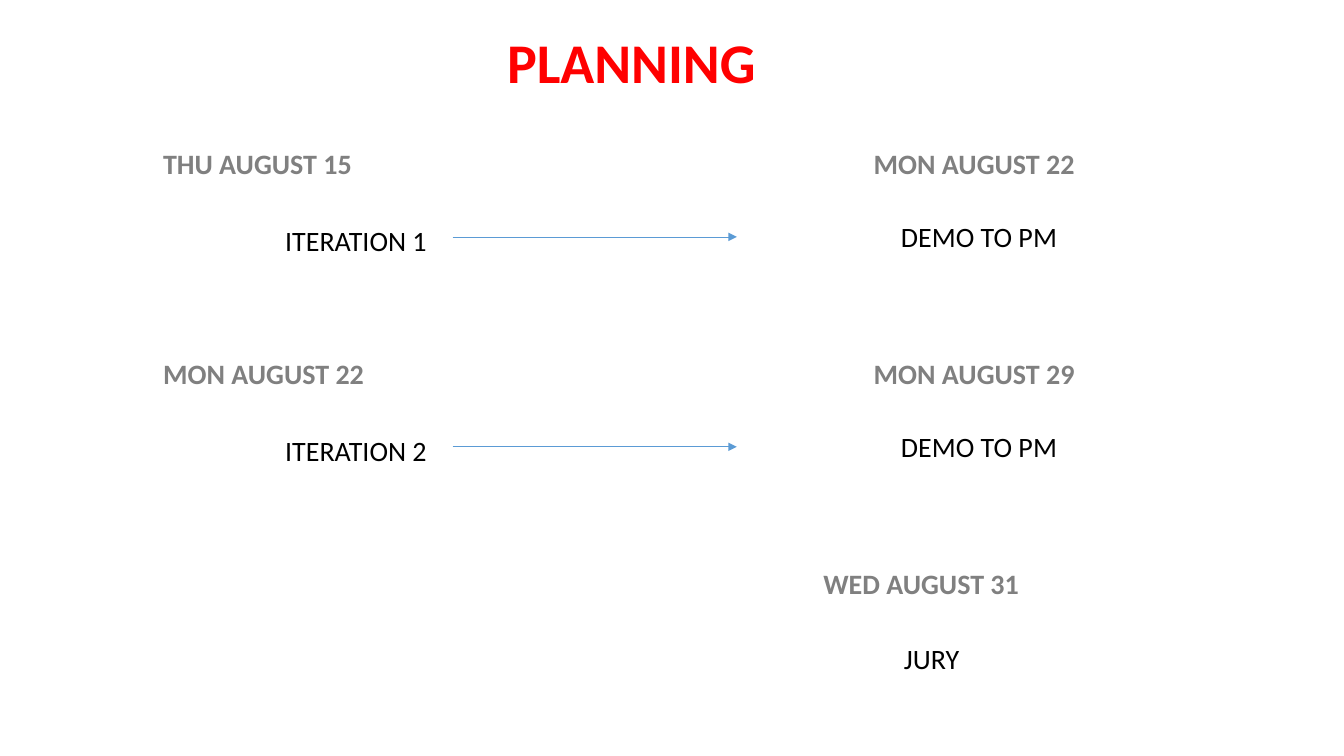
from dataclasses import dataclass

from lxml import etree
from pptx import Presentation
from pptx.dml.color import RGBColor
from pptx.enum import shapes, text
from pptx.oxml import ns
from pptx.shapes.autoshape import Shape
from pptx.slide import Slide
from pptx.util import Pt

FONT = "Calibri"
RED, GREY, BLACK, BLUE = "FF0000", "808080", "000000", "5B9BD5"
LABEL_HEIGHT = 31.5
FIRST_ROW, ROW_STEP = 100.8, 150


@dataclass
class Label:
    words: str
    left: float
    top: float
    width: float
    color: str = BLACK
    bold: bool = False
    size: float = 20


@dataclass
class Iteration:
    name: str
    start: str
    start_width: float
    end: str


ITERATIONS = [
    Iteration("ITERATION 1", "THU AUGUST 15", 150.5, "MON AUGUST 22"),
    Iteration("ITERATION 2", "MON AUGUST 22", 159, "MON AUGUST 29"),
]


def rgb(color: str) -> RGBColor:
    return RGBColor.from_string(color)


def fill_text(box: Shape, label: Label) -> None:
    frame = box.text_frame
    frame.word_wrap = False
    frame.auto_size = text.MSO_AUTO_SIZE.SHAPE_TO_FIT_TEXT
    frame.vertical_anchor = text.MSO_ANCHOR.TOP
    para = frame.paragraphs[0]
    para.alignment = text.PP_ALIGN.LEFT
    span = para.add_run()
    span.text = label.words
    span.font.name = FONT
    span.font.size = Pt(label.size)
    span.font.bold = label.bold
    span.font.color.rgb = rgb(label.color)


def add_label(page: Slide, label: Label) -> None:
    box = page.shapes.add_textbox(
        Pt(label.left), Pt(label.top), Pt(label.width), Pt(LABEL_HEIGHT))
    fill_text(box, label)


def add_date(page: Slide, words: str, left: float, top: float, width: float) -> None:
    add_label(page, Label(words, left, top, width, GREY, True))


def add_arrow(page: Slide, left: float, right: float, top: float) -> None:
    arrow = page.shapes.add_connector(
        shapes.MSO_CONNECTOR.STRAIGHT, Pt(left), Pt(top), Pt(right), Pt(top))
    arrow.line.color.rgb = rgb(BLUE)
    arrow.line.width = Pt(0.5)
    etree.SubElement(arrow.line._get_or_add_ln(), ns.qn("a:tailEnd"), type="triangle")
    etree.SubElement(arrow._element.spPr, ns.qn("a:effectLst"))


def add_title(page: Slide) -> None:
    title = page.shapes.title
    title.left, title.top = Pt(355), Pt(15.8)
    title.width, title.height = Pt(193.7), Pt(55.5)
    fill_text(title, Label("PLANNING", 355, 15.8, 193.7, RED, True, 40))


def add_iteration(page: Slide, iteration: Iteration, top: float) -> None:
    add_date(page, iteration.start, 109.4, top, iteration.start_width)
    add_date(page, iteration.end, 617, top, 159)
    add_label(page, Label(iteration.name, 196.6, top + 55.4, 116.6))
    add_label(page, Label("DEMO TO PM", 636.5, top + 52.5, 126.7))
    add_arrow(page, 323.3, 526.3, top + 68.4)


def main() -> None:
    deck = Presentation()
    deck.slide_width, deck.slide_height = Pt(960), Pt(540)
    page = deck.slides.add_slide(deck.slide_layouts.get_by_name("Title Only"))
    add_title(page)

    # Iterations, one row each
    for row, iteration in enumerate(ITERATIONS):
        add_iteration(page, iteration, FIRST_ROW + row * ROW_STEP)

    # Closing jury, on the row after the iterations
    jury_top = FIRST_ROW + len(ITERATIONS) * ROW_STEP
    add_date(page, "WED AUGUST 31", 581, jury_top, 155.5)
    add_label(page, Label("JURY", 638.6, jury_top + 54.2, 54.7))

    deck.save("out.pptx")


if __name__ == "__main__":
    main()
